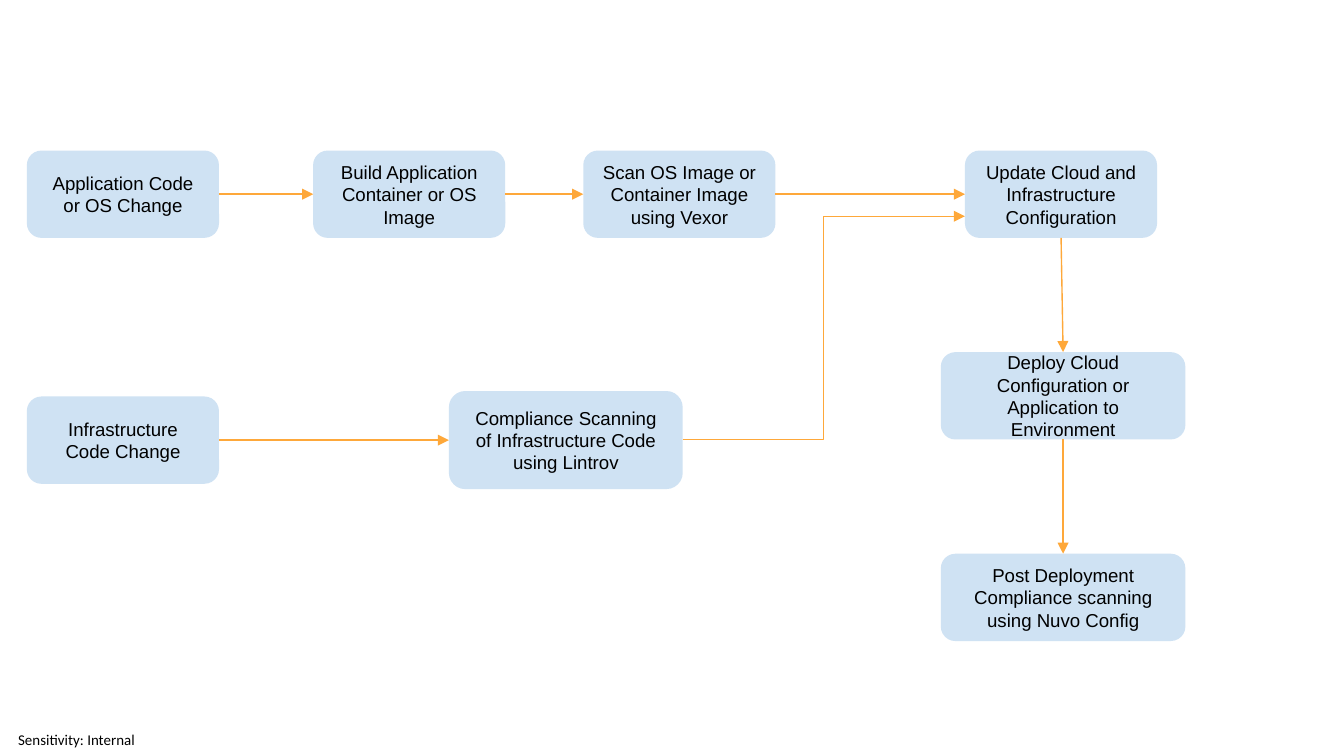
from lxml import etree
from pptx import Presentation
from pptx.dml.color import RGBColor
from pptx.enum import shapes, text
from pptx.oxml.ns import qn
from pptx.util import Inches, Pt

COLORS = {"box": "CFE2F3", "arrow": "FEA83A", "text": "000000"}
TOP, LEFT, BOTTOM, RIGHT = range(4)  # connection sites of a rounded rectangle

prs = Presentation()
prs.slide_width = Inches(10)
prs.slide_height = Inches(10 * 9 / 16)
s = prs.slides.add_slide(prs.slide_layouts[6])


def write(sp, content, font, size, inset):
    """Put one centred run into a shape."""
    tf = sp.text_frame
    tf.word_wrap = True
    tf.vertical_anchor = text.MSO_ANCHOR.MIDDLE
    tf.margin_left = tf.margin_right = Inches(inset)
    tf.margin_top = tf.margin_bottom = Inches(inset)
    p = tf.paragraphs[0]
    p.alignment = text.PP_ALIGN.CENTER
    r = p.add_run()
    r.text = content
    r.font.name, r.font.size = font, Pt(size)
    r.font.color.rgb = RGBColor.from_string(COLORS["text"])


def add_arrow(kind, x1, y1, x2, y2):
    """Add a connector with a triangle at its end."""
    cxn = s.shapes.add_connector(kind, x1, y1, x2, y2)
    cxn.line.color.rgb = RGBColor.from_string(COLORS["arrow"])
    cxn.line.width = Pt(0.75)
    etree.SubElement(cxn.line._get_or_add_ln(), qn("a:tailEnd"), type="triangle")
    etree.SubElement(cxn._element.spPr, qn("a:effectLst"))
    return cxn


label = s.shapes.add_textbox(Inches(0), Inches(5.38), Inches(1.14), Inches(0.25))
write(label, "Sensitivity: Internal", "Calibri", 8, 0)

steps = {
    "app": (0.2, 1.12, 1.43, 0.65, "Application Code or OS Change"),
    "build": (2.33, 1.12, 1.43, 0.65, "Build Application Container or OS Image"),
    "scan": (4.34, 1.12, 1.43, 0.65, "Scan OS Image or Container Image using Vexor"),
    "update": (7.18, 1.12, 1.43, 0.65, "Update Cloud and Infrastructure Configuration"),
    "infra": (0.2, 2.95, 1.43, 0.65, "Infrastructure Code Change"),
    "comply": (3.34, 2.91, 1.74, 0.73, "Compliance Scanning of Infrastructure Code using Lintrov"),
    "deploy": (7, 2.62, 1.82, 0.65, "Deploy Cloud Configuration or Application to Environment"),
    "post": (7, 4.12, 1.82, 0.65, "Post Deployment Compliance scanning using Nuvo Config"),
}
boxes = {}
for name, (x, y, w, h, content) in steps.items():
    sp = s.shapes.add_shape(shapes.MSO_SHAPE.ROUNDED_RECTANGLE,
                            Inches(x), Inches(y), Inches(w), Inches(h))
    sp.shadow.inherit = False
    sp.fill.solid()
    sp.fill.fore_color.rgb = RGBColor.from_string(COLORS["box"])
    sp.line.fill.background()
    write(sp, content, "Arial", 10, 0.1)
    boxes[name] = sp

links = [
    ("app", RIGHT, "build", LEFT),
    ("build", RIGHT, "scan", LEFT),
    ("scan", RIGHT, "update", LEFT),
    ("infra", RIGHT, "comply", LEFT),
    ("update", BOTTOM, "deploy", TOP),
    ("deploy", BOTTOM, "post", TOP),
]
for source, exit_site, target, entry_site in links:
    cxn = add_arrow(shapes.MSO_CONNECTOR.STRAIGHT, 0, 0, 0, 0)
    cxn.begin_connect(boxes[source], exit_site)
    cxn.end_connect(boxes[target], entry_site)

# The compliance branch joins the update step below its main input
add_arrow(shapes.MSO_CONNECTOR.ELBOW, Inches(5.08), Inches(3.27), Inches(7.18), Inches(1.61))

prs.save("out.pptx")
